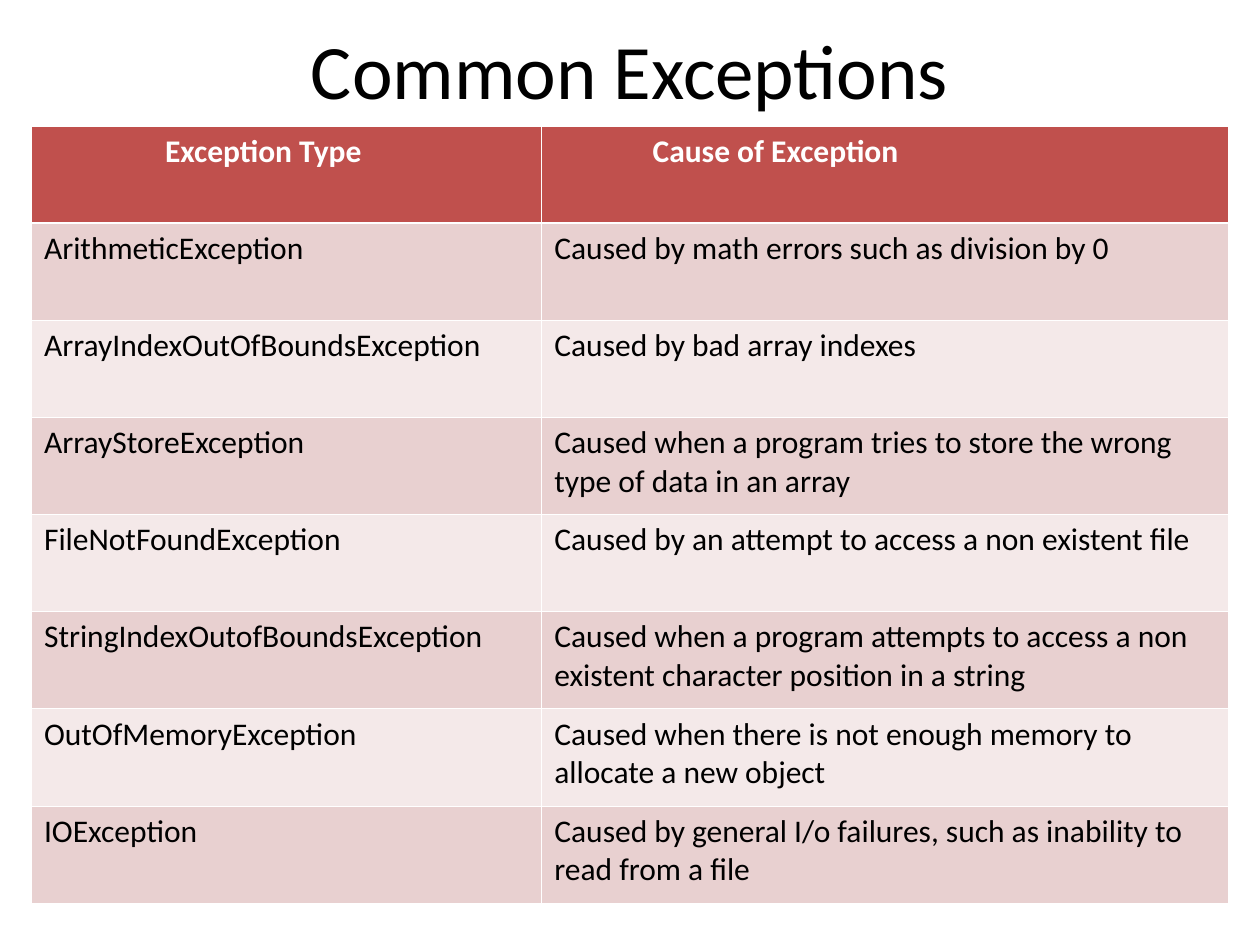
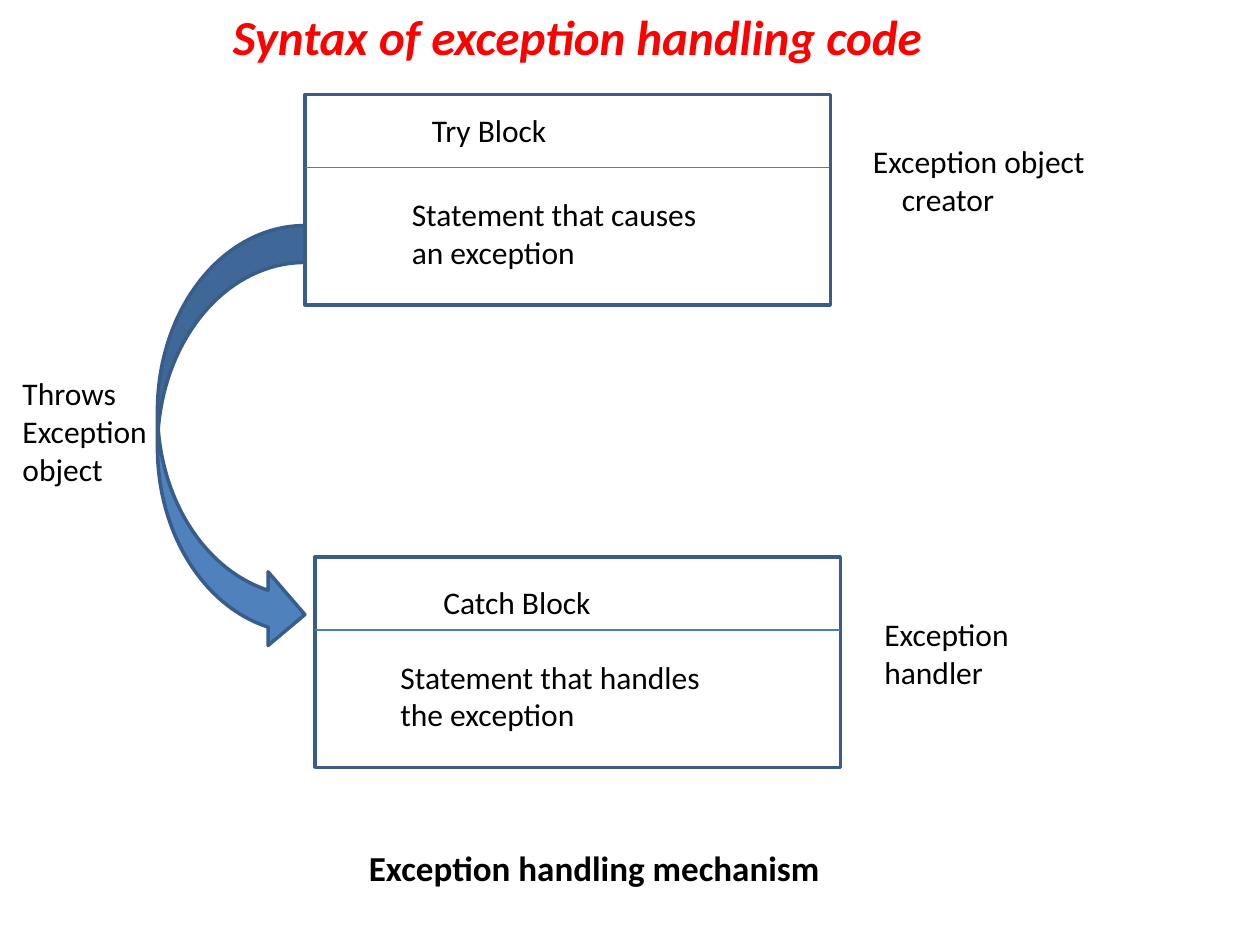
from dataclasses import dataclass

from lxml.etree import SubElement
from pptx import Presentation
from pptx.dml.color import RGBColor as Color
from pptx.enum.shapes import MSO_CONNECTOR as Connector, MSO_SHAPE as Shape
from pptx.enum.text import MSO_ANCHOR as Anchor, MSO_AUTO_SIZE as AutoSize, PP_ALIGN as Align
from pptx.oxml.ns import qn
from pptx.util import Inches, Pt


@dataclass(frozen=True)
class Theme:
    font: str = "Calibri"
    black: str = "000000"
    white: str = "FFFFFF"
    red: str = "FF0000"
    header: str = "C0504D"
    bands: tuple = ("E8D0D0", "F4E9E9")
    arrow: str = "4F81BD"
    outline: str = "385D8A"
    divider: str = "4A7EBB"
    title: int = 44
    heading: int = 28
    caption: int = 20
    body: int = 18


theme = Theme()


def write(para, text, size=theme.body, color=theme.black, bold=False, italic=False,
          left=0, first=0):
    """Add one styled run; left and first are the paragraph indents in inches."""
    if left:
        properties = para._p.get_or_add_pPr()
        properties.set("marL", str(Inches(left)))
        properties.set("indent", str(Inches(first)))
    span = para.add_run()
    span.text = text
    span.font.name = theme.font
    span.font.size = Pt(size)
    span.font.bold = bold
    span.font.italic = italic
    span.font.color.rgb = Color.from_string(color)


def add_text(page, place, lines, **style):
    """Add a wrapping text box with one paragraph per line."""
    box = page.shapes.add_textbox(*map(Inches, place))
    frame = box.text_frame
    frame.word_wrap = True
    frame.auto_size = AutoSize.SHAPE_TO_FIT_TEXT
    for number, line in enumerate(lines):
        para = frame.add_paragraph() if number else frame.paragraphs[0]
        write(para, line, **style)
    return box


deck = Presentation()
deck.slide_width, deck.slide_height = Inches(10), Inches(7.5)
blank = deck.slide_layouts[6]

# Slide 1: title
page = deck.slides.add_slide(blank)
title = add_text(page, (0.5, -0.08, 9, 1.25), ["Common Exceptions"], size=theme.title)
title.text_frame.auto_size = AutoSize.NONE
title.text_frame.vertical_anchor = Anchor.MIDDLE
title.text_frame.paragraphs[0].alignment = Align.CENTER

# Slide 1: table of exceptions
exceptions = [
    ("Exception Type", "Cause of Exception"),
    ("ArithmeticException", "Caused by math errors such as division by 0"),
    ("ArrayIndexOutOfBoundsException", "Caused by bad array indexes"),
    ("ArrayStoreException",
     "Caused when a program tries to store the wrong type of data in an array"),
    ("FileNotFoundException", "Caused by an attempt to access a non existent file"),
    ("StringIndexOutofBoundsException",
     "Caused when a program attempts to access a non existent character position in a string"),
    ("OutOfMemoryException",
     "Caused when there is not enough memory to allocate a new object"),
    ("IOException",
     "Caused by general I/o failures, such as inability to read from a file"),
]
column_widths = (4.05, 5.45)
header_indents = (0.96, 0.78)
table = page.shapes.add_table(len(exceptions), len(column_widths), Inches(0.25), Inches(1),
                              Inches(sum(column_widths)), Inches(6.17)).table
for column, width in zip(table.columns, column_widths):
    column.width = Inches(width)

for row, texts in enumerate(exceptions):
    for column, text in enumerate(texts):
        cell = table.cell(row, column)
        para = cell.text_frame.paragraphs[0]
        if row == 0:
            fill = theme.header
            write(para, text, color=theme.white, bold=True, left=header_indents[column])
        else:
            fill = theme.bands[(row - 1) % 2]
            write(para, text)
        # White borders, thicker under the header
        for side in ("lnL", "lnR", "lnT", "lnB"):
            thick = (row, side) in ((0, "lnB"), (1, "lnT"))
            border = SubElement(cell._tc.get_or_add_tcPr(), qn(f"a:{side}"),
                                w=str(Pt(1.47 if thick else 0.45)))
            SubElement(SubElement(border, qn("a:solidFill")), qn("a:srgbClr"), val=theme.white)
        cell.fill.solid()
        cell.fill.fore_color.rgb = Color.from_string(fill)

# Slide 2: heading
page = deck.slides.add_slide(blank)
add_text(page, (1.75, 0, 5.83, 0.57), ["Syntax of exception handling code"],
         size=theme.heading, color=theme.red, bold=True, italic=True)

# Slide 2: the two code blocks and the arrow between them
outlined = [
    (Shape.RECTANGLE, (2.42, 0.75, 4.17, 1.67), theme.white),
    (Shape.RECTANGLE, (2.5, 4.42, 4.17, 1.67), theme.white),
    (Shape.CURVED_RIGHT_ARROW, (1.25, 1.79, 1.17, 3.38), theme.arrow),
]
for kind, place, fill in outlined:
    shape = page.shapes.add_shape(kind, *map(Inches, place))
    shape.shadow.inherit = False
    shape.fill.solid()
    shape.fill.fore_color.rgb = Color.from_string(fill)
    shape.line.color.rgb = Color.from_string(theme.outline)
    shape.line.width = Pt(2)

# Slide 2: line under each block name
for left, right, top in ((2.42, 6.58, 1.33), (2.5, 6.67, 5)):
    divider = page.shapes.add_connector(Connector.STRAIGHT, Inches(left), Inches(top),
                                        Inches(right), Inches(top))
    divider.line.color.rgb = Color.from_string(theme.divider)
    divider.line.width = Pt(0.75)
    SubElement(divider.element.spPr, qn("a:effectLst"))

# Slide 2: labels
labels = [
    ((3.33, 0.83, 4, 0.4), ["Try Block"]),
    ((3.17, 1.5, 2.5, 0.7), ["Statement that causes an exception"]),
    ((3.42, 4.58, 1.92, 0.4), ["Catch Block"]),
    ((3.08, 5.17, 2.67, 0.7), ["Statement that handles the exception"]),
    ((6.92, 4.83, 1.92, 0.7), ["Exception handler"]),
    ((0.08, 2.92, 1.25, 1), ["Throws Exception", "object"]),
]
for place, lines in labels:
    add_text(page, place, lines)
add_text(page, (6.83, 1.08, 1.92, 0.7), ["Exception object creator"], left=0.23, first=-0.23)

# Slide 2: caption
add_text(page, (2.83, 6.67, 5.67, 0.44), ["Exception handling mechanism"],
         size=theme.caption, bold=True)

deck.save("out.pptx")
